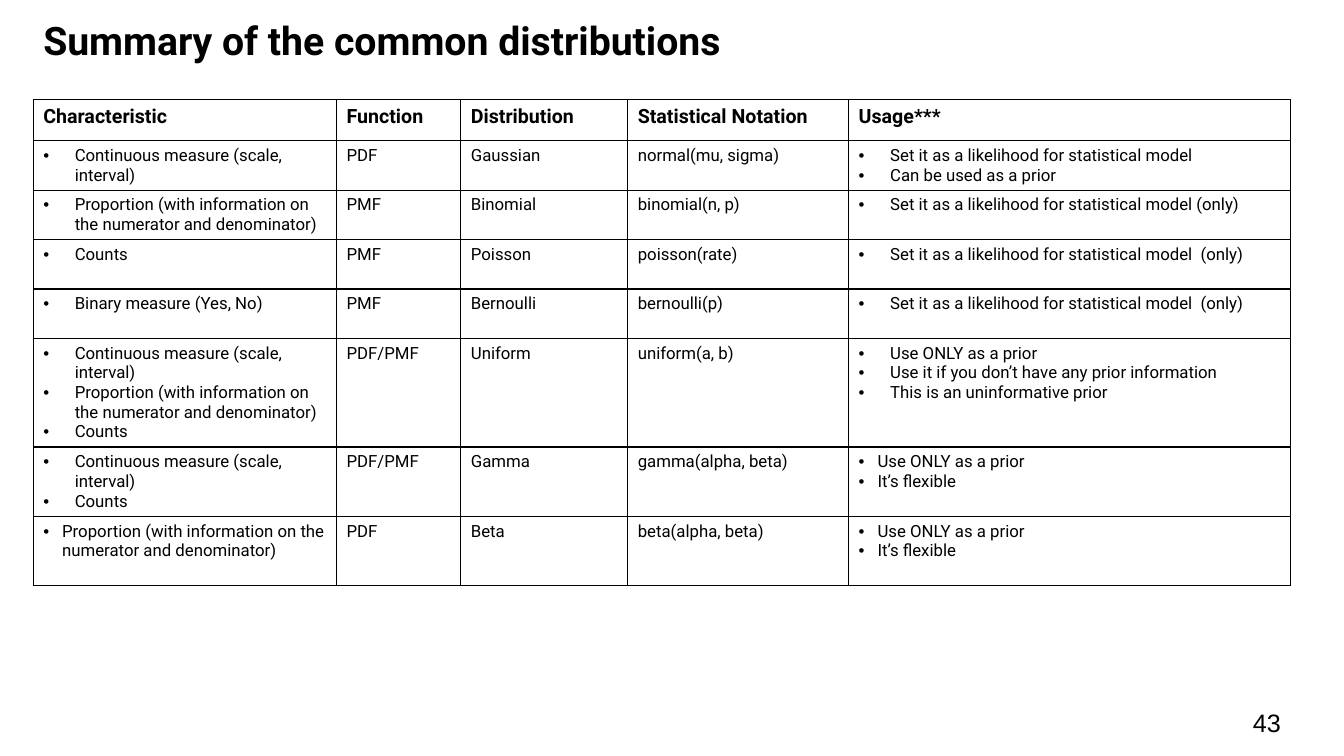
from lxml.etree import SubElement
from pptx import Presentation
from pptx.dml.color import RGBColor
from pptx.enum.text import MSO_ANCHOR, PP_ALIGN
from pptx.oxml.ns import qn
from pptx.util import Pt

# Content: a list is a bulleted cell, a string is a plain one
TITLE = "Summary of the common distributions"
PAGE_NUMBER = "43"
HEADINGS = ["Characteristic", "Function", "Distribution", "Statistical Notation", "Usage***"]
CONTINUOUS = "Continuous measure (scale, interval)"
PROPORTION = "Proportion (with information on the numerator and denominator)"
PRIOR_ONLY = "Use ONLY as a prior"
LIKELIHOOD = "Set it as a likelihood for statistical model"
ROWS = [
    [[CONTINUOUS], "PDF", "Gaussian", "normal(mu, sigma)", [LIKELIHOOD, "Can be used as a prior"]],
    [[PROPORTION], "PMF", "Binomial", "binomial(n, p)", [LIKELIHOOD + " (only)"]],
    [["Counts"], "PMF", "Poisson", "poisson(rate)", [LIKELIHOOD + "  (only)"]],
    [["Binary measure (Yes, No)"], "PMF", "Bernoulli", "bernoulli(p)", [LIKELIHOOD + "  (only)"]],
    [[CONTINUOUS, PROPORTION, "Counts"], "PDF/PMF", "Uniform", "uniform(a, b)",
     [PRIOR_ONLY, "Use it if you don’t have any prior information", "This is an uninformative prior"]],
    [[CONTINUOUS, "Counts"], "PDF/PMF", "Gamma", "gamma(alpha, beta)", [PRIOR_ONLY, "It’s flexible"]],
    [[PROPORTION], "PDF", "Beta", "beta(alpha, beta)", [PRIOR_ONLY, "It’s flexible"]],
]

# Layout and style
COLUMN_WIDTHS = [216.7, 88.8, 119.2, 157.8, 315.9]
ROW_HEIGHTS = [29.3, 35.3, 35.3, 35.3, 35.3, 77.5, 49.6, 49.6]
TABLE_LEFT, TABLE_TOP = 23.7, 71.2
WIDE_INDENT, NARROW_INDENT = 22.5, 13.5
NARROW_CELLS = {(6, 4), (7, 0), (7, 4)}  # row, column
BLACK = RGBColor(0, 0, 0)


def add_text(para, text, size, font="Roboto", bold=False):
    span = para.add_run()
    span.text = text
    span.font.size = Pt(size)
    span.font.name = font
    span.font.bold = bold
    span.font.color.rgb = BLACK


def add_bullet(para, indent):
    properties = para._p.get_or_add_pPr()
    properties.set("marL", str(Pt(indent)))
    properties.set("indent", str(-Pt(indent)))
    SubElement(properties, qn("a:buFont"), typeface="Arial")
    SubElement(properties, qn("a:buChar"), char="•")


def add_borders(cell):
    properties = cell._tc.get_or_add_tcPr()
    for side in ("lnL", "lnR", "lnT", "lnB"):
        line = SubElement(properties, qn("a:" + side), w=str(Pt(1)))
        fill = SubElement(line, qn("a:solidFill"))
        SubElement(fill, qn("a:srgbClr"), val=str(BLACK))


def fill_cell(cell, content, size, bold, indent):
    add_borders(cell)
    cell.fill.background()
    bulleted = isinstance(content, list)
    for index, text in enumerate(content if bulleted else [content]):
        frame = cell.text_frame
        para = frame.add_paragraph() if index else frame.paragraphs[0]
        if bulleted:
            add_bullet(para, indent)
        add_text(para, text, size, bold=bold)


deck = Presentation()
deck.slide_width, deck.slide_height = Pt(960), Pt(540)
page = deck.slides.add_slide(deck.slide_layouts[5])

# Title
title = page.shapes.title
title.left, title.top, title.width, title.height = Pt(23.7), Pt(12.2), Pt(738.7), Pt(51)
title.text_frame.vertical_anchor = MSO_ANCHOR.TOP
heading = title.text_frame.paragraphs[0]
heading.alignment = PP_ALIGN.LEFT
heading.line_spacing = 0.9
add_text(heading, TITLE, 28, bold=True)

# Table
grid = page.shapes.add_table(
    len(ROW_HEIGHTS), len(COLUMN_WIDTHS), Pt(TABLE_LEFT), Pt(TABLE_TOP),
    Pt(sum(COLUMN_WIDTHS)), Pt(sum(ROW_HEIGHTS))).table
grid.first_row = grid.horz_banding = False
for column, width in zip(grid.columns, COLUMN_WIDTHS):
    column.width = Pt(width)
for row, height in zip(grid.rows, ROW_HEIGHTS):
    row.height = Pt(height)
for row, contents in enumerate([HEADINGS] + ROWS):
    is_header = row == 0
    for column, content in enumerate(contents):
        indent = NARROW_INDENT if (row, column) in NARROW_CELLS else WIDE_INDENT
        fill_cell(grid.cell(row, column), content, 14 if is_header else 12, is_header, indent)

# Page number
box = page.shapes.add_textbox(Pt(887.8), Pt(501.8), Pt(42.5), Pt(11.5))
box.text_frame.word_wrap = True
add_text(box.text_frame.paragraphs[0], PAGE_NUMBER, 18, font="Arial")

deck.save("out.pptx")
